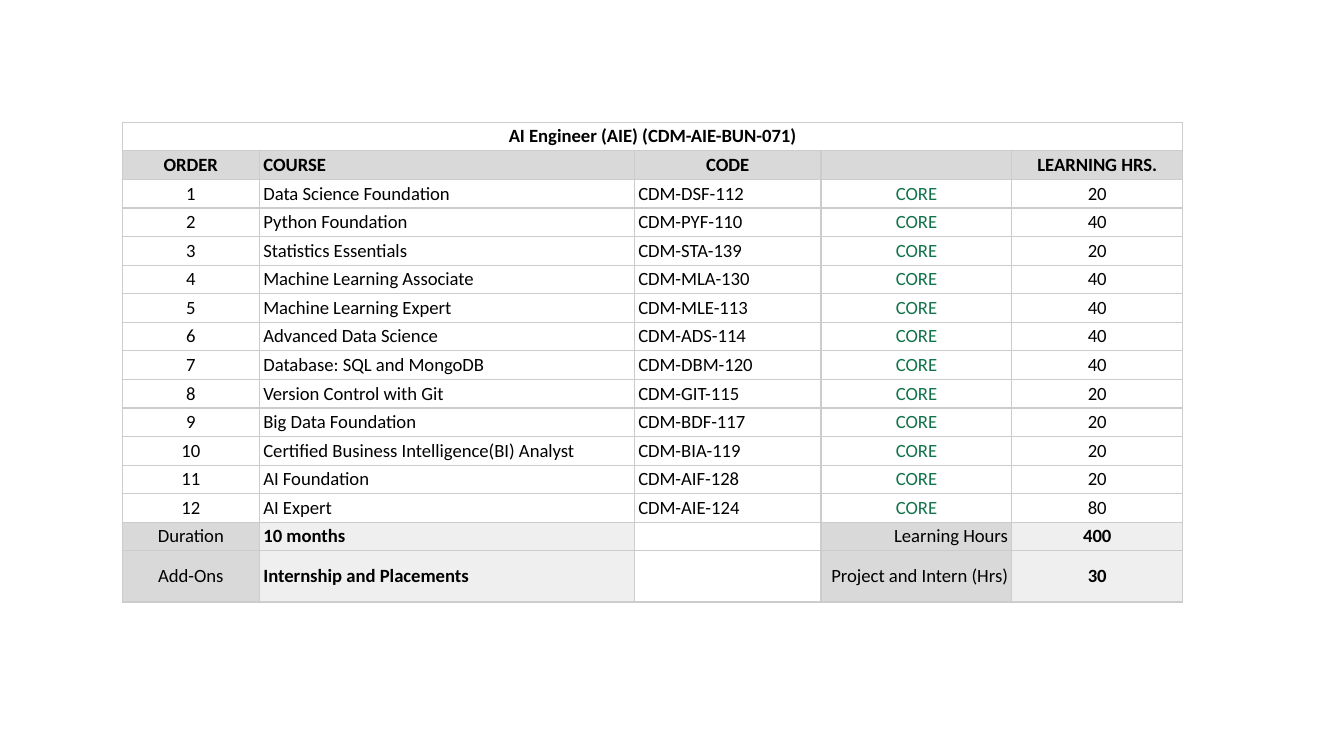
from lxml import etree
from pptx import Presentation
from pptx.dml.color import RGBColor
from pptx.enum import text
from pptx.oxml import ns
from pptx.util import Inches, Pt

COLORS = {
    "text": "000000",
    "core": "11734B",
    "label": "D9D9D9",
    "value": "EFEFEF",
    "border": "CCCCCC",
}
LEFT, CENTER, RIGHT = (
    text.PP_ALIGN.LEFT, text.PP_ALIGN.CENTER, text.PP_ALIGN.RIGHT)
SLIDE_WIDTH = 10
FONT_SIZE = 10
COLUMN_WIDTHS = [1.02, 2.79, 1.39, 1.42, 1.27]
LAST_ROW_HEIGHT = 0.38
CELL_FORMAT = {
    "margin_left": Inches(0.03),
    "margin_right": Inches(0.03),
    "margin_top": Inches(0.02),
    "margin_bottom": Inches(0.02),
    "vertical_anchor": text.MSO_ANCHOR.MIDDLE,
}

TITLE = "AI Engineer (AIE) (CDM-AIE-BUN-071)"
HEADINGS = ["ORDER", "COURSE", "CODE", "", "LEARNING HRS."]
COURSES = [
    ("Data Science Foundation", "CDM-DSF-112", 20),
    ("Python Foundation", "CDM-PYF-110", 40),
    ("Statistics Essentials", "CDM-STA-139", 20),
    ("Machine Learning Associate", "CDM-MLA-130", 40),
    ("Machine Learning Expert", "CDM-MLE-113", 40),
    ("Advanced Data Science", "CDM-ADS-114", 40),
    ("Database: SQL and MongoDB", "CDM-DBM-120", 40),
    ("Version Control with Git", "CDM-GIT-115", 20),
    ("Big Data Foundation", "CDM-BDF-117", 20),
    ("Certified Business Intelligence(BI) Analyst", "CDM-BIA-119", 20),
    ("AI Foundation", "CDM-AIF-128", 20),
    ("AI Expert", "CDM-AIE-124", 80),
]
SUMMARY = [
    ("Duration", "10 months", "", "Learning Hours", "400"),
    ("Add-Ons", "Internship and Placements", "", "Project and Intern (Hrs)", "30"),
]


def add_borders(cell):
    properties = cell._tc.get_or_add_tcPr()
    for side in ("lnL", "lnR", "lnT", "lnB"):
        line = etree.SubElement(properties, ns.qn(f"a:{side}"), w=str(Pt(0.75)))
        fill = etree.SubElement(line, ns.qn("a:solidFill"))
        etree.SubElement(fill, ns.qn("a:srgbClr"), val=COLORS["border"])


def format_cell(cell, words, align=LEFT, bold=False, color="text", fill=None):
    for name, value in CELL_FORMAT.items():
        setattr(cell, name, value)
    add_borders(cell)
    if fill:
        cell.fill.solid()
        cell.fill.fore_color.rgb = RGBColor.from_string(COLORS[fill])
    else:
        cell.fill.background()
    paragraph = cell.text_frame.paragraphs[0]
    paragraph.alignment = align
    if not words:
        # An empty cell needs its own text size, or it stretches the row.
        etree.SubElement(paragraph._p, ns.qn("a:endParaRPr"),
                         sz=str(FONT_SIZE * 100))
        return
    run = paragraph.add_run()
    run.text = words
    font_format = {"name": "Calibri", "size": Pt(FONT_SIZE), "bold": bold}
    for name, value in font_format.items():
        setattr(run.font, name, value)
    run.font.color.rgb = RGBColor.from_string(COLORS[color])


def fill_row(row, words, aligns, bolds=(False,) * 5, colors=("text",) * 5,
             fills=(None,) * 5):
    for cell_values in zip(row.cells, words, aligns, bolds, colors, fills):
        format_cell(*cell_values)


def add_course_table(slide, left, top, width, height):
    row_count = 2 + len(COURSES) + len(SUMMARY)
    frame = slide.shapes.add_table(
        row_count, len(COLUMN_WIDTHS),
        Inches(left), Inches(top), Inches(width), Inches(height))
    table = frame.table
    table.first_row = table.horz_banding = False
    for column, share in zip(table.columns, COLUMN_WIDTHS):
        column.width = Inches(width * share / sum(COLUMN_WIDTHS))
    rows = list(table.rows)
    for row in rows[:-1]:
        row.height = Inches((height - LAST_ROW_HEIGHT) / (row_count - 1))
    rows[-1].height = Inches(LAST_ROW_HEIGHT)

    fill_row(rows[0], [TITLE, "", "", "", ""], [CENTER] * 5, [True] * 5)
    table.cell(0, 0).merge(table.cell(0, len(COLUMN_WIDTHS) - 1))
    fill_row(rows[1], HEADINGS, [CENTER, LEFT, CENTER, CENTER, CENTER],
             bolds=[True] * 5, fills=["label"] * 5)
    for order, (course, code, hours) in enumerate(COURSES, start=1):
        fill_row(rows[order + 1], [str(order), course, code, "CORE", str(hours)],
                 [CENTER, LEFT, LEFT, CENTER, CENTER],
                 colors=["text", "text", "text", "core", "text"])
    for row, words in zip(rows[-len(SUMMARY):], SUMMARY):
        fill_row(row, words, [CENTER, LEFT, LEFT, RIGHT, CENTER],
                 bolds=[False, True, False, False, True],
                 fills=["label", "value", None, "label", "value"])


def main():
    presentation = Presentation()
    presentation.slide_width = Inches(SLIDE_WIDTH)
    presentation.slide_height = Inches(SLIDE_WIDTH * 9 / 16)
    slide = presentation.slides.add_slide(presentation.slide_layouts[6])
    add_course_table(slide, left=0.91, top=0.91, width=7.89, height=3.57)
    presentation.save("out.pptx")


if __name__ == "__main__":
    main()
